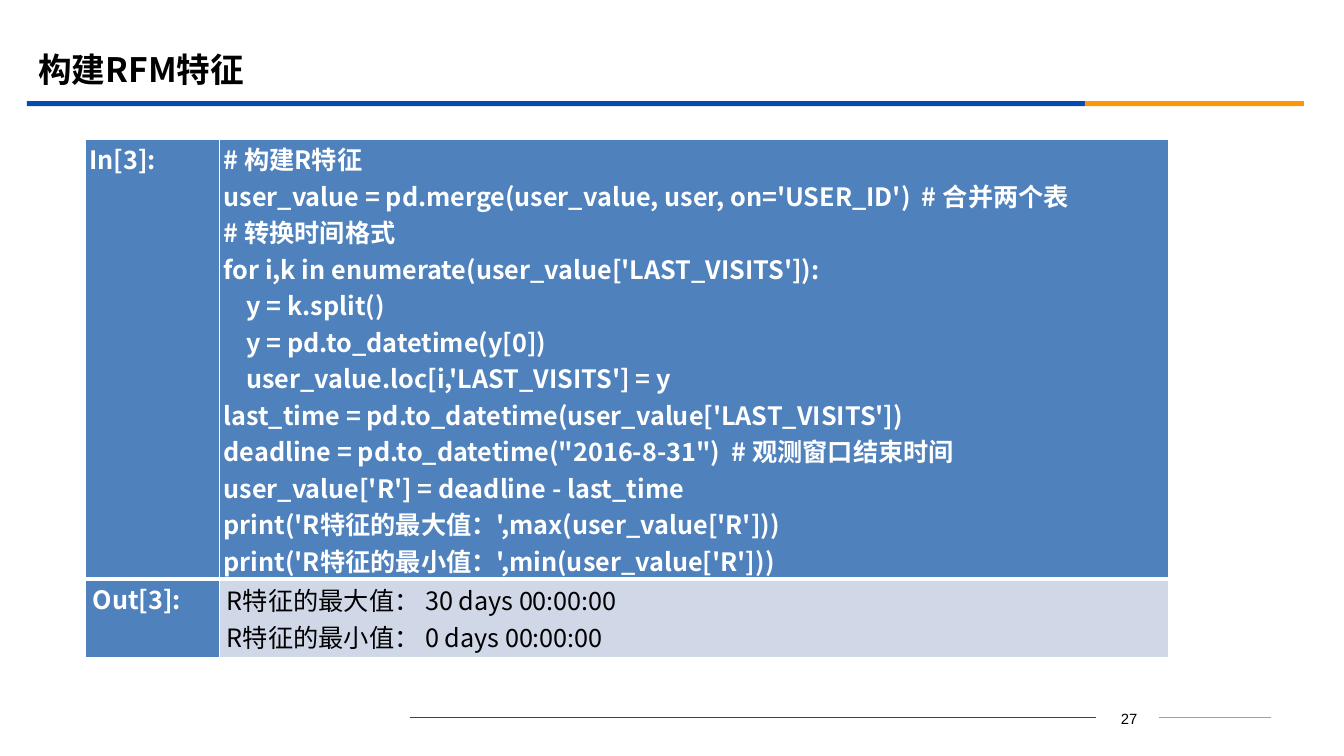
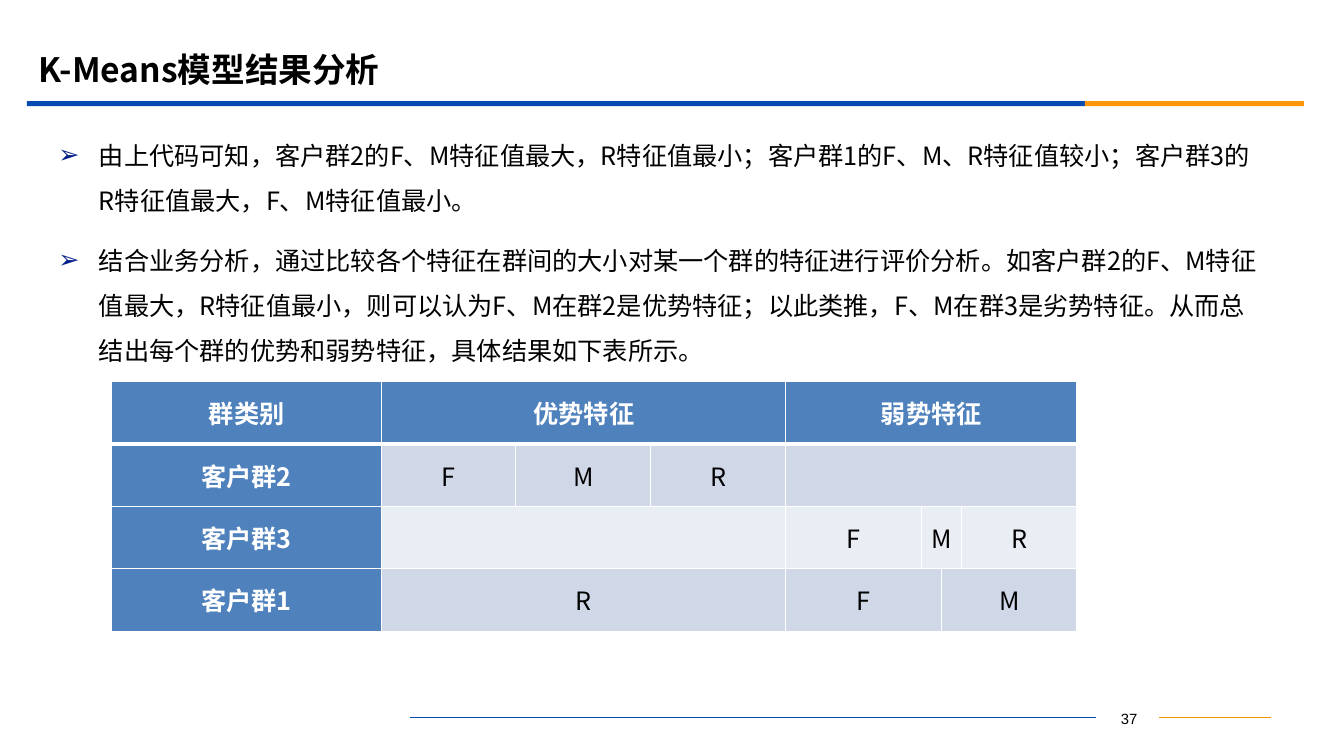
"""Build two course slides: RFM feature code and K-Means result analysis."""
from dataclasses import dataclass

from lxml import etree
from pptx import Presentation
from pptx import util as u
from pptx.dml.color import RGBColor
from pptx.enum import shapes, text
from pptx.oxml import ns


@dataclass(frozen=True)
class Theme:
    blue: str = "064BB2"
    orange: str = "FB9708"
    amber: str = "F19500"
    bullet: str = "032089"
    black: str = "000000"
    white: str = "FFFFFF"
    header: str = "4F81BD"
    bands: tuple = ("D0D8E8", "E9EDF4")
    font: str = "Noto Sans CJK SC"
    number_font: str = "Arial"
    title: float = 24
    content: float = 18
    number: float = 10.6
    footer_line: float = 0.75
    thin: float = 1
    thick: float = 3


theme = Theme()
rgb = RGBColor.from_string

deck = Presentation()
deck.slide_width, deck.slide_height = u.Inches(13.33), u.Inches(7.5)
TITLE_AND_BODY, TITLE_ONLY = 1, 5


def share(*lengths):
    """Turn alternating percentages of slide width and height into lengths."""
    sides = (deck.slide_width, deck.slide_height)
    return [u.Emu(round(sides[i % 2] * part / 100)) for i, part in enumerate(lengths)]


def style(paragraph, size, color=theme.black, bold=False, name=theme.font):
    """Set size, colour, weight and both Latin and East Asian fonts."""
    font = paragraph.font
    font.size, font.bold, font.name = u.Pt(size), bold, name
    font.color.rgb = rgb(color)
    properties = paragraph._p.pPr.find(ns.qn("a:defRPr"))
    etree.SubElement(properties, ns.qn("a:ea"), typeface=name)


code = """# 构建R特征
user_value = pd.merge(user_value, user, on='USER_ID')  # 合并两个表
# 转换时间格式
for i,k in enumerate(user_value['LAST_VISITS']):
    y = k.split()
    y = pd.to_datetime(y[0])
    user_value.loc[i,'LAST_VISITS'] = y
last_time = pd.to_datetime(user_value['LAST_VISITS'])
deadline = pd.to_datetime("2016-8-31")  # 观测窗口结束时间
user_value['R'] = deadline - last_time
print('R特征的最大值：',max(user_value['R']))
print('R特征的最小值：',min(user_value['R']))"""
output = "R特征的最大值： 30 days 00:00:00\nR特征的最小值： 0 days 00:00:00"

pages = [
    dict(
        title="构建RFM特征", number=" 27", bullets=[],
        origin=(6.36, 18.5), columns=[9.98, 70.62], heights=[58.1, 10.35],
        padding=[(0.3, 0.1), (0.55, 0.1)],
        label_anchor=text.MSO_ANCHOR.TOP, align=text.PP_ALIGN.LEFT,
        rows=[[("In[3]:", 1), (code, 1)], [("Out[3]:", 1), (output, 1)]],
    ),
    dict(
        title="K-Means模型结果分析", number=" 37",
        bullets=[
            "由上代码可知，客户群2的F、M特征值最大，R特征值最小；客户群1的F、M、R特征值较小；"
            "客户群3的R特征值最大，F、M特征值最小。",
            "结合业务分析，通过比较各个特征在群间的大小对某一个群的特征进行评价分析。"
            "如客户群2的F、M特征值最大，R特征值最小，则可以认为F、M在群2是优势特征；"
            "以此类推，F、M在群3是劣势特征。从而总结出每个群的优势和弱势特征，具体结果如下表所示。",
        ],
        origin=(8.3, 50.5),
        columns=[20.1, 9.98, 10.05, 10.05, 10.1, 1.5, 1.5, 8.55],
        heights=[8.25] * 4, padding=[(0.53, 0)] * 4,
        label_anchor=text.MSO_ANCHOR.MIDDLE, align=text.PP_ALIGN.CENTER,
        rows=[
            [("群类别", 1), ("优势特征", 3), ("弱势特征", 4)],
            [("客户群2", 1), ("F", 1), ("M", 1), ("R", 1), ("", 4)],
            [("客户群3", 1), ("", 3), ("F", 1), ("M", 2), ("R", 1)],
            [("客户群1", 1), ("R", 3), ("F", 2), ("M", 2)],
        ],
    ),
]

for page in pages:
    layout = deck.slide_layouts[TITLE_AND_BODY if page["bullets"] else TITLE_ONLY]
    slide = deck.slides.add_slide(layout)

    for left, width, color in [(2, 78.72, theme.blue), (80.72, 16.3, theme.orange)]:
        band = slide.shapes.add_shape(
            shapes.MSO_SHAPE.RECTANGLE, *share(left, 13.37, width, 0.67))
        band.shadow.inherit = False
        band.fill.solid()
        band.fill.fore_color.rgb = rgb(color)
        band.line.fill.background()

    number = slide.shapes.add_textbox(*share(81.52, 93.2, 4.68, 3.33))
    number.text_frame.word_wrap = True
    number.text_frame.text = page["number"]
    number.text_frame.paragraphs[0].alignment = text.PP_ALIGN.CENTER
    style(number.text_frame.paragraphs[0], theme.number, name=theme.number_font)
    middle = number.top + number.height // 2
    for outer, side, color in [(30.53, 1, theme.blue), (94.6, 3, theme.amber)]:
        end = share(outer)[0]
        rule = slide.shapes.add_connector(
            shapes.MSO_CONNECTOR.STRAIGHT, end, middle, end, middle)
        rule.end_connect(number, side)
        rule.line.color.rgb = rgb(color)
        rule.line.width = u.Pt(theme.footer_line)
        etree.SubElement(rule._element.spPr, ns.qn("a:effectLst"))

    title = slide.shapes.title
    title.left, title.top, title.width, title.height = share(2.1, 5.28, 90.02, 7.73)
    title.text_frame.text = page["title"]
    title.text_frame.auto_size = text.MSO_AUTO_SIZE.NONE
    title.text_frame.vertical_anchor = text.MSO_ANCHOR.MIDDLE
    title.text_frame.paragraphs[0].alignment = text.PP_ALIGN.LEFT
    style(title.text_frame.paragraphs[0], theme.title, bold=True)

    if page["bullets"]:
        body = slide.placeholders[1]
        body.left, body.top, body.width, body.height = share(3.6, 15.87, 91.15, 33.6)
        body.text_frame.text = "\n".join(page["bullets"])
        body.text_frame.auto_size = text.MSO_AUTO_SIZE.NONE
        hanging = share(3)[0]
        for i, point in enumerate(body.text_frame.paragraphs):
            point.line_spacing = 1.5
            point.space_before = u.Pt(10 if i else 0)
            properties = point._p.get_or_add_pPr()
            properties.set("marL", str(hanging))
            properties.set("indent", str(-hanging))
            bullet_color = etree.SubElement(properties, ns.qn("a:buClr"))
            etree.SubElement(bullet_color, ns.qn("a:srgbClr"), val=theme.bullet)
            etree.SubElement(properties, ns.qn("a:buChar"), char="➢")
            style(point, theme.content)

    left, top, width, height = share(
        *page["origin"], sum(page["columns"]), sum(page["heights"]))
    table = slide.shapes.add_table(
        len(page["rows"]), len(page["columns"]), left, top, width, height).table
    for column, part in zip(table.columns, page["columns"]):
        column.width = share(part)[0]
    for row, part in zip(table.rows, page["heights"]):
        row.height = share(0, part)[1]

    for r, entries in enumerate(page["rows"]):
        c = 0
        pad_x, pad_y = share(*page["padding"][r])
        for content, span in entries:
            heading = r == 0 or c == 0
            if span > 1:
                table.cell(r, c).merge(table.cell(r, c + span - 1))
            for covered in range(c, c + span):
                cell = table.cell(r, covered)
                cell.fill.solid()
                cell.fill.fore_color.rgb = rgb(
                    theme.header if heading else theme.bands[(r - 1) % 2])
                cell.margin_left = cell.margin_right = pad_x
                cell.margin_top = cell.margin_bottom = pad_y
                cell.vertical_anchor = (
                    page["label_anchor"] if c == 0 else text.MSO_ANCHOR.MIDDLE)
                for i, edge in enumerate(("lnL", "lnR", "lnT", "lnB")):
                    under_header = (r, edge) in [(0, "lnB"), (1, "lnT")]
                    weight = u.Pt(theme.thick if under_header else theme.thin)
                    border = etree.Element(ns.qn(f"a:{edge}"), w=str(weight))
                    paint = etree.SubElement(border, ns.qn("a:solidFill"))
                    etree.SubElement(paint, ns.qn("a:srgbClr"), val=theme.white)
                    cell._tc.tcPr.insert(i, border)
            label = table.cell(r, c).text_frame
            label.text = content
            for paragraph in label.paragraphs:
                paragraph.alignment = page["align"]
                style(paragraph, theme.content,
                      theme.white if heading else theme.black, heading)
            c += span

deck.save("out.pptx")
